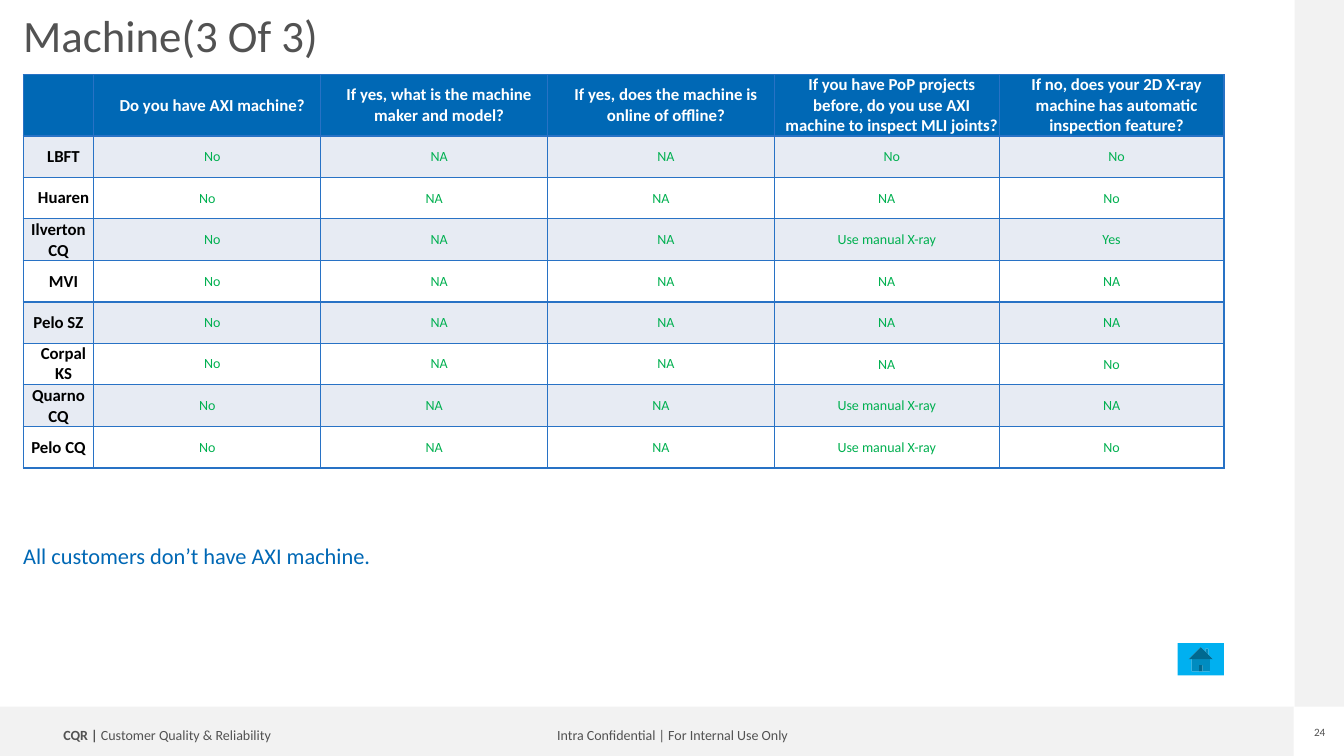
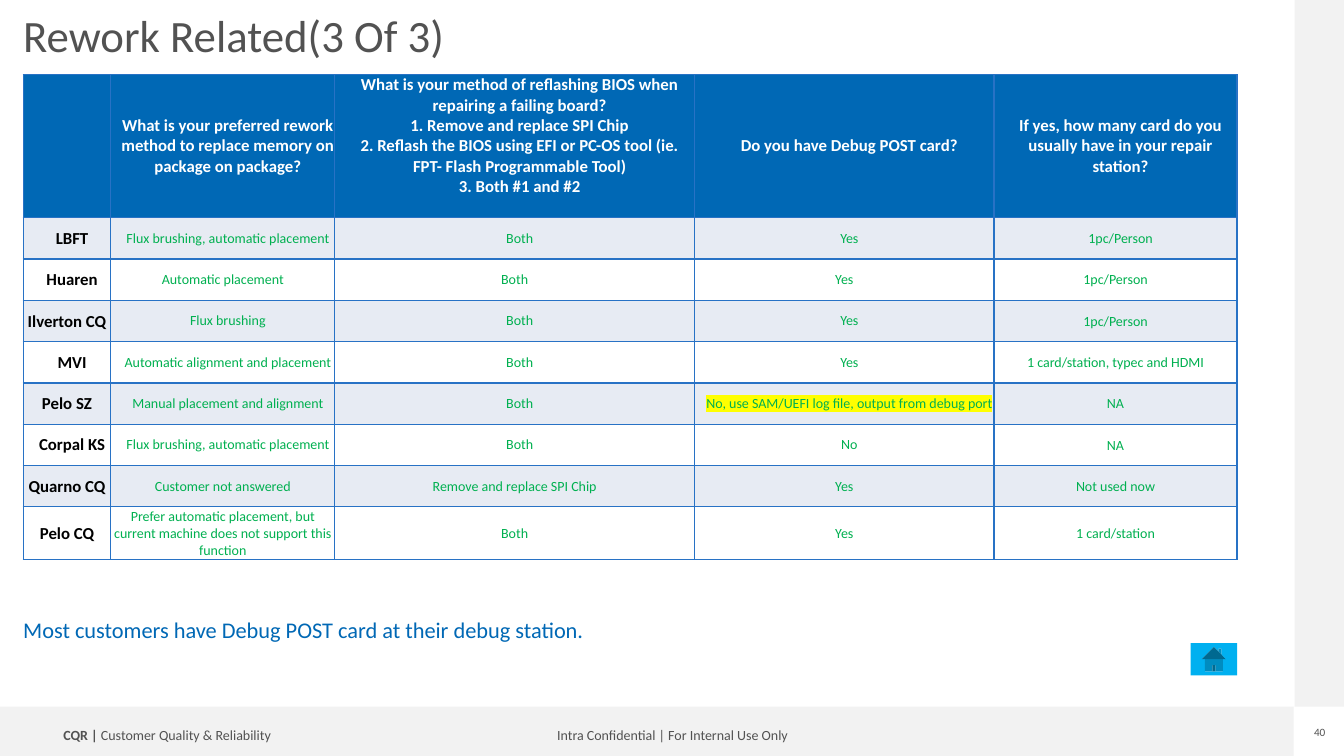
from lxml import etree
from pptx import Presentation
from pptx import util as u
from pptx.dml.color import RGBColor
from pptx.enum import shapes as shp, text as txt
from pptx.oxml import ns

FONT = "Calibri"
GREY, BAND, BLUE, WHITE = "525252", "F2F2F2", "0068B5", "FFFFFF"
STRIPE, GRID, GREEN, BLACK = "E7EBF3", "2872C5", "00B050", "000000"
BUTTON, YELLOW = "00B0F0", "FFFF00"
LEFT, TABLE_TOP, ROW_H = 0.23, 0.74, 0.41
LOOSE, TIGHT = (0.1, 0, 0, 0), (0.01, 0.01, 0.01, 0)
CENTER = txt.PP_ALIGN.CENTER
MIDDLE, TOP = txt.MSO_ANCHOR.MIDDLE, txt.MSO_ANCHOR.TOP


def color(hex_code):
    return RGBColor.from_string(hex_code)


def put_text(frame, text, size=10, ink=GREY, bold=False, align=None,
             spacing=1.0, highlight=None):
    """Write one paragraph per line; a list holds (text, bold) runs."""
    lines = [text] if isinstance(text, list) else text.split("\n")
    for i, line in enumerate(lines):
        para = frame.paragraphs[0] if i == 0 else frame.add_paragraph()
        para.alignment = align
        para.line_spacing = spacing
        para.space_before = u.Pt(0)
        runs = line if isinstance(line, list) else [(line, bold)]
        for words, heavy in runs:
            run = para.add_run()
            run.text = words
            font = run.font
            font.size, font.name, font.bold = u.Pt(size), FONT, heavy
            font.color.rgb = color(ink)
            if highlight:
                mark = etree.Element(ns.qn("a:highlight"))
                etree.SubElement(mark, ns.qn("a:srgbClr"), val=highlight)
                run.font._element.find(ns.qn("a:latin")).addprevious(mark)


def set_frame(frame, margins, anchor=TOP, wrap=True):
    """Margins run left, top, right, bottom in inches."""
    (frame.margin_left, frame.margin_top,
     frame.margin_right, frame.margin_bottom) = map(u.Inches, margins)
    frame.vertical_anchor = anchor
    frame.word_wrap = wrap


def add_label(slide, box, text, margins=(0, 0, 0, 0), anchor=TOP, wrap=True, **style):
    label = slide.shapes.add_textbox(*map(u.Inches, box))
    set_frame(label.text_frame, margins, anchor, wrap)
    put_text(label.text_frame, text, **style)
    return label


def add_block(slide, kind, box, fill):
    block = slide.shapes.add_shape(kind, *map(u.Inches, box))
    block.shadow.inherit = False
    block.fill.solid()
    block.fill.fore_color.rgb = color(fill)
    block.line.fill.background()
    return block


def build_frame(slide, layout):
    """Draw the bands and footers once and hand them to the layout."""
    rect = shp.MSO_SHAPE.RECTANGLE
    footer = dict(margins=(0.1, 0.05, 0.1, 0.05), anchor=MIDDLE, spacing=0.9)
    parts = [
        add_block(slide, rect, (0, 7.01, 12.83, 0.49), BAND),
        add_block(slide, rect, (12.84, 0, 0.49, 7.01), BAND),
        add_label(slide, (5.29, 7.18, 2.76, 0.25),
                  "Intra Confidential | For Internal Use Only",
                  align=CENTER, **footer),
        add_label(slide, (0.53, 7.18, 2.54, 0.25),
                  [("CQR | ", True), ("Customer Quality & Reliability", False)],
                  **footer),
    ]
    for part in parts:
        layout.shapes.element.append(part.element)


def format_cell(cell, fill, margins, anchor=MIDDLE):
    props = cell._tc.get_or_add_tcPr()
    for side in ("lnL", "lnR", "lnT", "lnB"):
        edge = etree.SubElement(props, ns.qn(f"a:{side}"), w=str(u.Pt(1)))
        paint = etree.SubElement(edge, ns.qn("a:solidFill"))
        etree.SubElement(paint, ns.qn("a:srgbClr"), val=GRID)
    cell.fill.solid()
    cell.fill.fore_color.rgb = color(fill)
    (cell.margin_left, cell.margin_top,
     cell.margin_right, cell.margin_bottom) = map(u.Inches, margins)
    cell.vertical_anchor = anchor


def build_survey(slide, left, top, widths, heights, questions, answers, tail):
    """Question row, then one row per customer; the last `tail` columns sit tight."""
    table = slide.shapes.add_table(
        len(heights), len(widths), u.Inches(left), u.Inches(top),
        u.Inches(sum(widths)), u.Inches(sum(heights))).table
    table.horz_banding = False
    for column, width in zip(table.columns, widths):
        column.width = u.Inches(width)
    for row, height in zip(table.rows, heights):
        row.height = u.Inches(height)

    # Questions
    for c, question in enumerate([""] + questions):
        cell = table.cell(0, c)
        format_cell(cell, BLUE, LOOSE, TOP if "\n" in question else MIDDLE)
        if question:
            put_text(cell.text_frame, question, size=12, ink=WHITE, bold=True, align=CENTER)

    # Customers and their answers
    for r, (customer, replies) in enumerate(zip(CUSTOMERS, answers), 1):
        name, name_margins, reply_margins = customer
        fill = STRIPE if r % 2 else WHITE
        cell = table.cell(r, 0)
        format_cell(cell, fill, name_margins)
        put_text(cell.text_frame, name, size=12, ink=BLACK, bold=True, align=CENTER)
        for c, reply in enumerate(replies, 1):
            in_tail = c >= len(widths) - tail and r > 1
            cell = table.cell(r, c)
            format_cell(cell, fill, TIGHT if in_tail else reply_margins)
            put_text(cell.text_frame, reply, ink=GREEN, align=CENTER,
                     highlight=YELLOW if reply == FLAGGED else None)


def build_slide(slide, title, number, conclusion, conclusion_top, widths,
                heights, questions, answers, tail):
    # Title
    set_frame(slide.shapes.title.text_frame, (0, 0, 0, 0))
    put_text(slide.shapes.title.text_frame, title, size=32,
             align=txt.PP_ALIGN.LEFT, spacing=0.9)
    # Survey table
    build_survey(slide, LEFT, TABLE_TOP, widths, heights, questions, answers, tail)
    # Conclusion, home button and page number
    add_label(slide, (LEFT, conclusion_top, 11.69, 0.27), conclusion, size=16, ink=BLUE)
    button_w = 0.46
    add_block(slide, shp.MSO_SHAPE.ACTION_BUTTON_HOME,
              (LEFT + sum(widths) - button_w, 6.38, button_w, 0.32), BUTTON)
    add_label(slide, (13.02, 7.2, 0.14, 0.13), number, size=8, align=CENTER, wrap=False)


# Customer, margins of its name, margins of its answers
CUSTOMERS = [
    ("LBFT", LOOSE, LOOSE),
    ("Huaren", LOOSE, TIGHT),
    ("Ilverton CQ", TIGHT, LOOSE),
    ("MVI", LOOSE, LOOSE),
    ("Pelo SZ", TIGHT, LOOSE),
    ("Corpal KS", LOOSE, LOOSE),
    ("Quarno CQ", TIGHT, TIGHT),
    ("Pelo CQ", TIGHT, TIGHT),
]
FLAGGED = "No, use SAM/UEFI log file, output from debug port"
MANUAL = "Use manual X-ray"

MACHINE = dict(
    title="Machine(3 Of 3)", number="24",
    conclusion="All customers don’t have AXI machine.", conclusion_top=5.38,
    widths=[0.7, 2.25, 2.25, 2.25, 2.23, 2.23],
    heights=[0.61] + [ROW_H] * 8,
    questions=[
        "Do you have AXI machine?",
        "If yes, what is the machine maker and model?",
        "If yes, does the machine is online of offline?",
        "If you have PoP projects before, do you use AXI machine to inspect MLI joints?",
        "If no, does your 2D X-ray machine has automatic inspection feature?",
    ],
    answers=[["No", "NA", "NA", *last] for last in (
        ("No", "No"), ("NA", "No"), (MANUAL, "Yes"), ("NA", "NA"),
        ("NA", "NA"), ("NA", "No"), (MANUAL, "NA"), (MANUAL, "No"))],
    tail=2,
)
REWORK = dict(
    title="Rework Related(3 Of 3)", number="40",
    conclusion="Most customers have Debug POST card at their debug station.",
    conclusion_top=6.11,
    widths=[0.87, 2.22, 3.57, 2.97, 2.41],
    heights=[1.42] + [ROW_H] * 7 + [0.52],
    questions=[
        "What is your preferred rework method to replace memory on package on package?",
        "What is your method of reflashing BIOS when repairing a failing board?\n"
        "1. Remove and replace SPI Chip\n"
        "2. Reflash the BIOS using EFI or PC-OS tool (ie. FPT- Flash Programmable Tool)\n"
        "3. Both #1 and #2",
        "Do you have Debug POST card?",
        "If yes, how many card do you usually have in your repair station?",
    ],
    answers=[
        ["Flux brushing, automatic placement", "Both", "Yes", "1pc/Person"],
        ["Automatic placement", "Both", "Yes", "1pc/Person"],
        ["Flux brushing", "Both", "Yes", "1pc/Person"],
        ["Automatic alignment and placement", "Both", "Yes",
         "1 card/station, typec and HDMI"],
        ["Manual placement and alignment", "Both", FLAGGED, "NA"],
        ["Flux brushing, automatic placement", "Both", "No", "NA"],
        ["Customer not answered", "Remove and replace SPI Chip", "Yes", "Not used now"],
        ["Prefer automatic placement, but current machine does not support this function",
         "Both", "Yes", "1 card/station"],
    ],
    tail=1,
)


def main():
    deck = Presentation()
    deck.slide_width, deck.slide_height = u.Inches(13.33), u.Inches(7.5)
    layout = deck.slide_layouts[5]
    heading = layout.placeholders[0]
    heading.left, heading.top, heading.width, heading.height = map(
        u.Inches, (LEFT, 0.14, 12.04, 1.04))
    pages = [(deck.slides.add_slide(layout), content) for content in (MACHINE, REWORK)]
    build_frame(pages[0][0], layout)
    for slide, content in pages:
        build_slide(slide, **content)
    deck.save("out.pptx")


if __name__ == "__main__":
    main()
